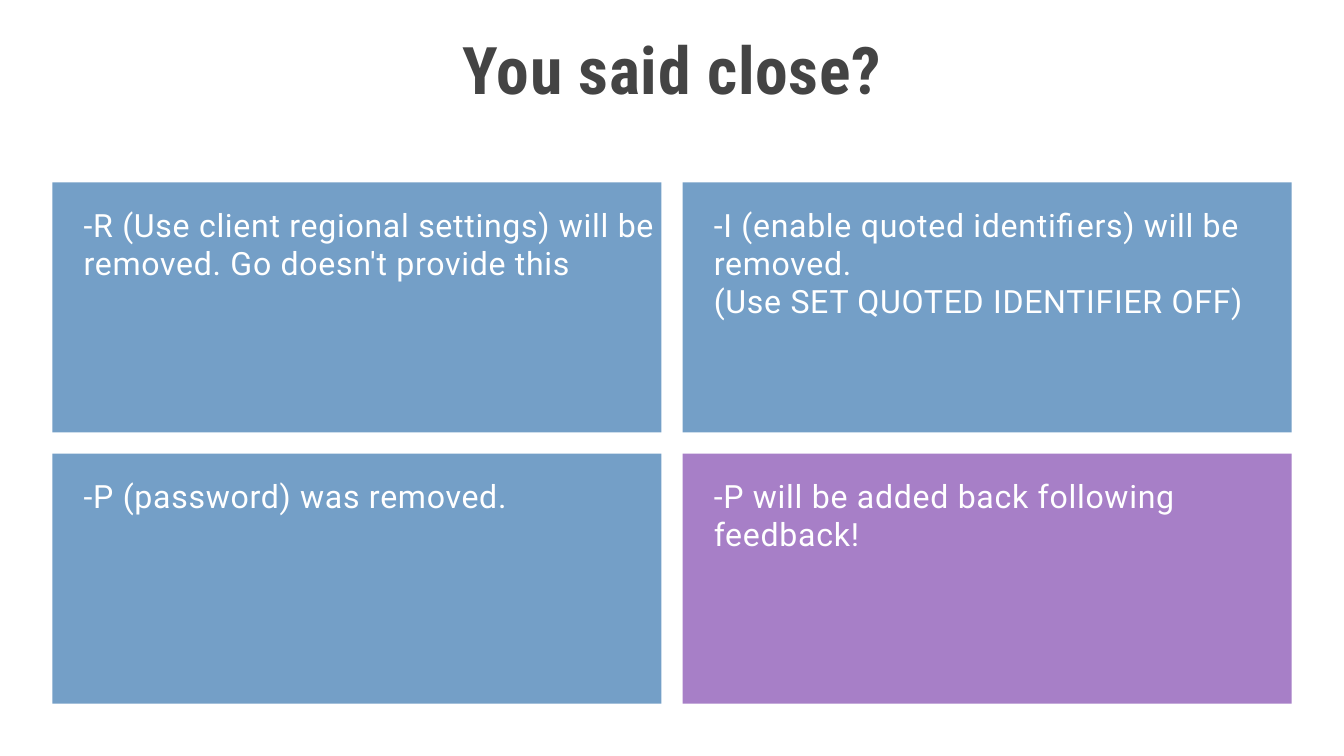
from dataclasses import dataclass

from pptx import Presentation
from pptx.dml.color import RGBColor
from pptx.enum.shapes import MSO_SHAPE
from pptx.enum.text import MSO_ANCHOR, PP_ALIGN
from pptx.util import Inches, Pt


@dataclass(frozen=True)
class Theme:
    """Colours, fonts and type sizes of the deck."""
    ink: RGBColor = RGBColor(0x44, 0x44, 0x44)
    white: RGBColor = RGBColor(0xFF, 0xFF, 0xFF)
    blue: RGBColor = RGBColor(0x74, 0x9F, 0xC7)
    purple: RGBColor = RGBColor(0xA7, 0x7F, 0xC7)
    title_font: str = "Roboto Condensed"
    body_font: str = "Roboto"
    title_size: float = 46.9
    title_line: float = 42.7
    body_size: float = 22.9
    body_line: float = 27.3
    tracking: str = "50"


THEME = Theme()


def write(tf, text, font, size, line, color, align, bold=False):
    """Fill a text frame with one styled paragraph."""
    tf.word_wrap = True
    tf.vertical_anchor = MSO_ANCHOR.TOP
    p = tf.paragraphs[0]
    p.text = text
    p.alignment = align
    p.line_spacing = Pt(line)
    p.space_before = Pt(0)
    p.font.name = font
    p.font.size = Pt(size)
    p.font.bold = bold
    p.font.color.rgb = color
    p._p.get_or_add_pPr().get_or_add_defRPr().set("spc", THEME.tracking)


def add_title(s, text, left, top, width, height):
    """Place the slide title in the given box."""
    sp = s.shapes.title
    sp.left, sp.top = Inches(left), Inches(top)
    sp.width, sp.height = Inches(width), Inches(height)
    tf = sp.text_frame
    tf.margin_left = tf.margin_right = tf.margin_top = tf.margin_bottom = 0
    write(tf, text, THEME.title_font, THEME.title_size, THEME.title_line,
          THEME.ink, PP_ALIGN.CENTER, bold=True)


def add_card(s, text, fill, left, top, width, height):
    """Draw one filled card with its text at the top left."""
    sp = s.shapes.add_shape(MSO_SHAPE.RECTANGLE, Inches(left), Inches(top),
                            Inches(width), Inches(height))
    sp.shadow.inherit = False
    sp.fill.solid()
    sp.fill.fore_color.rgb = fill
    sp.line.fill.background()
    tf = sp.text_frame
    tf.margin_left, tf.margin_top = Inches(0.31), Inches(0.23)
    tf.margin_right = tf.margin_bottom = 0
    write(tf, text, THEME.body_font, THEME.body_size, THEME.body_line,
          THEME.white, PP_ALIGN.LEFT)


def add_card_grid(s, cards, left, top, width, height, cols=2, gap=0.21):
    """Lay the cards out in equal cells across the given box."""
    rows = -(-len(cards) // cols)
    w = (width - gap * (cols - 1)) / cols
    h = (height - gap * (rows - 1)) / rows
    for i, (text, fill) in enumerate(cards):
        row, col = divmod(i, cols)
        add_card(s, text, fill, left + col * (w + gap), top + row * (h + gap), w, h)


def main():
    """Build the slide and save it."""
    prs = Presentation()
    prs.slide_width, prs.slide_height = Inches(13.33), Inches(7.5)
    s = prs.slides.add_slide(prs.slide_layouts[5])
    add_title(s, "You said close?", 0, 0.47, 13.33, 0.59)
    cards = [
        ("-R (Use client regional settings) will be removed. Go doesn't provide this",
         THEME.blue),
        ("-I (enable quoted identifiers) will be removed.\n"
         "(Use SET QUOTED IDENTIFIER OFF)", THEME.blue),
        ("-P (password) was removed.", THEME.blue),
        ("-P will be added back following feedback!", THEME.purple),
    ]
    add_card_grid(s, cards, 0.52, 1.81, 12.29, 5.17)
    prs.save("out.pptx")


if __name__ == "__main__":
    main()
